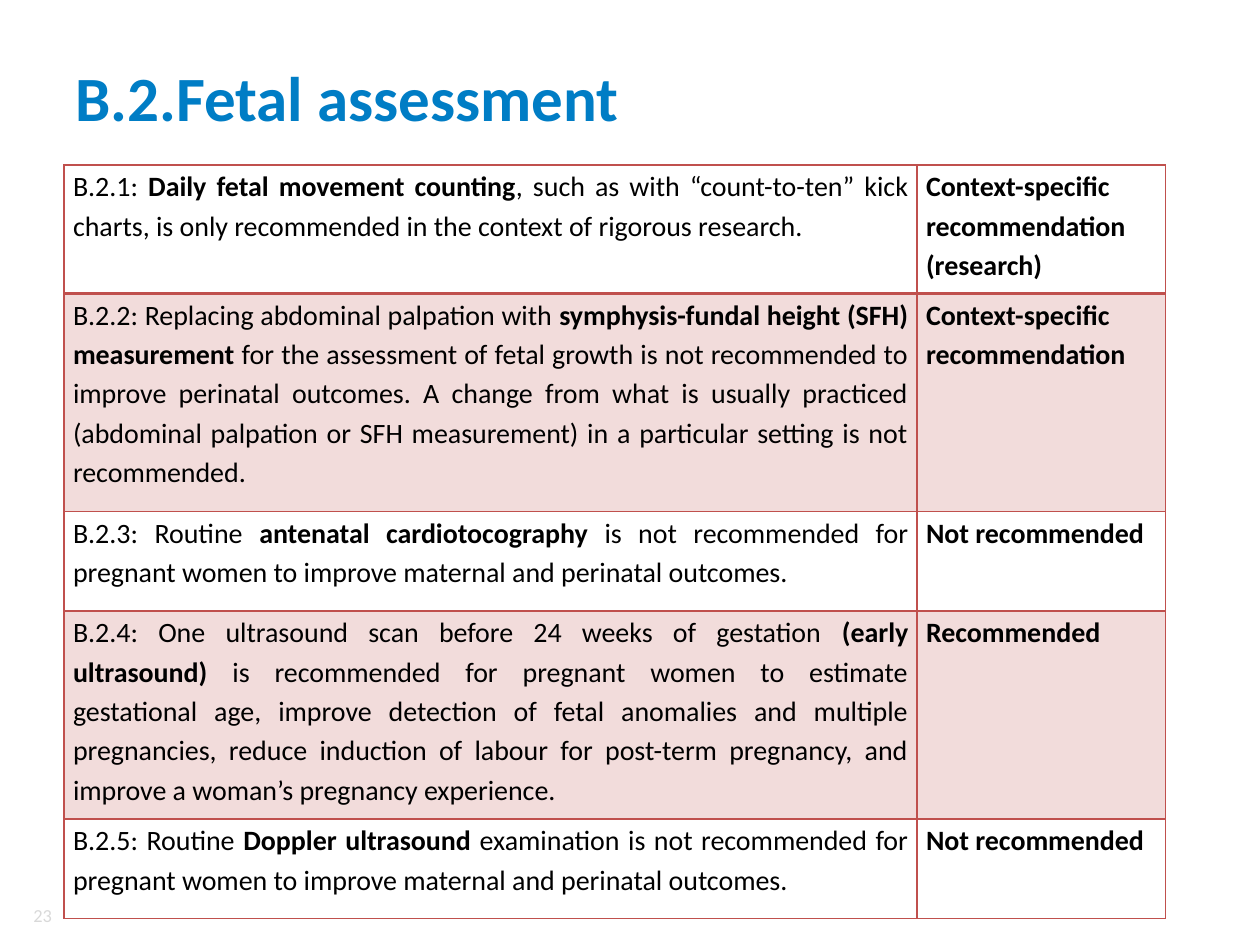
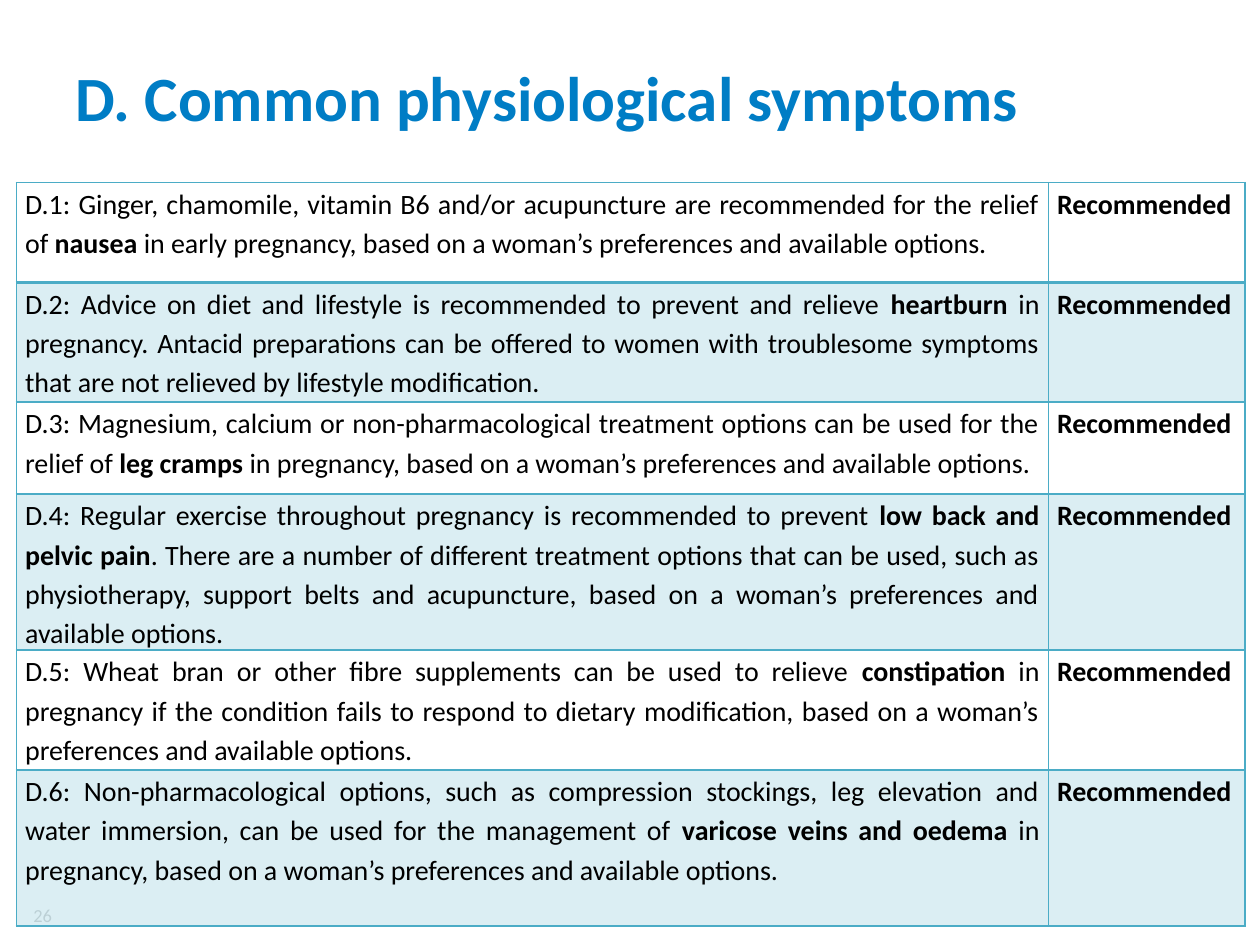
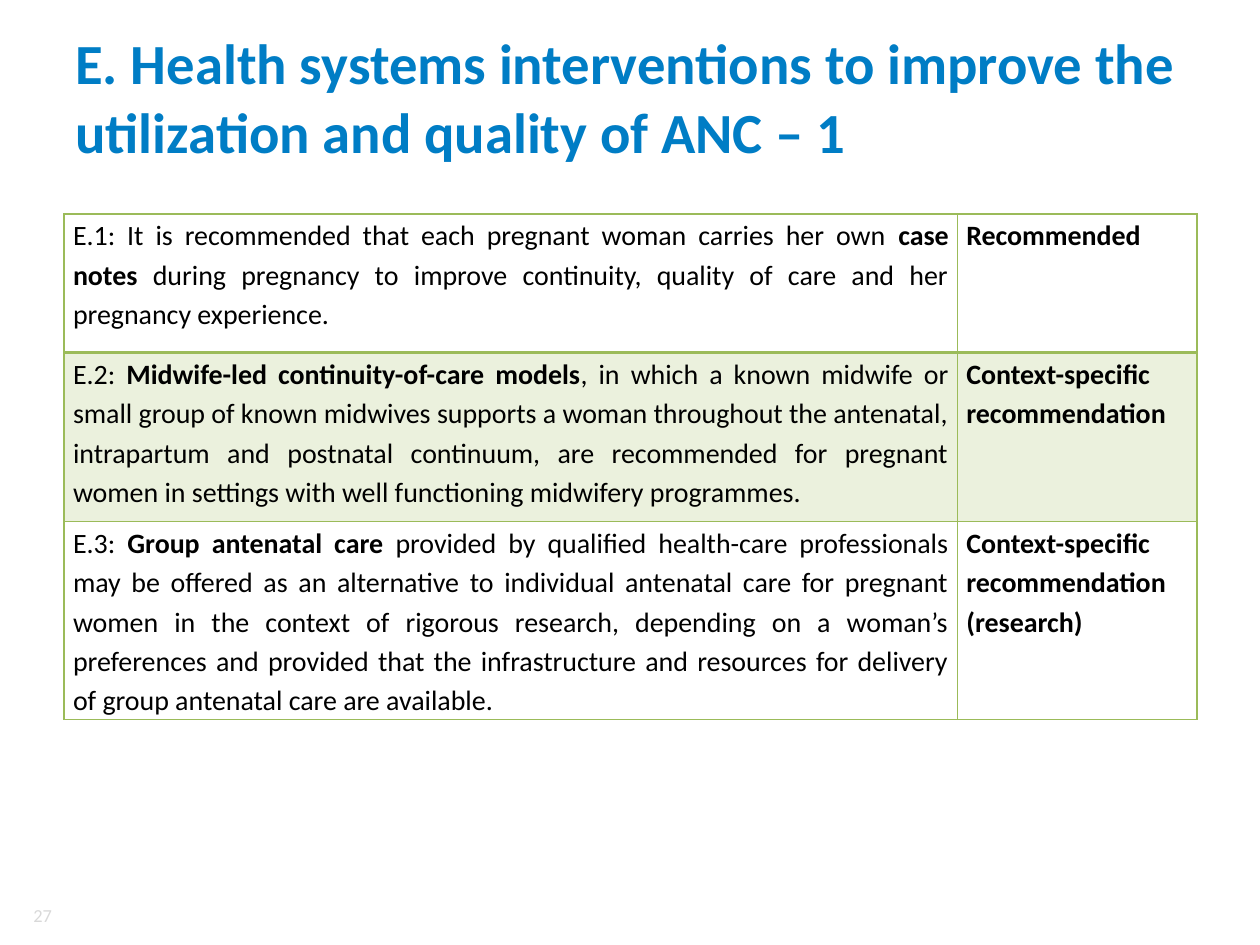
from lxml import etree
from pptx import Presentation
from pptx import util as u
from pptx.dml.color import RGBColor
from pptx.enum import text
from pptx.oxml.ns import qn

FONT = "Calibri"
TITLE_COLOR, BODY_COLOR, NUMBER_COLOR = "007DC5", "000000", "D9D9D9"
TINT = 20  # opacity of the shaded rows, in percent

YES, NO = "Recommended", "Not recommended"
CONTEXT = "Context-specific recommendation"
RESEARCH = "Context-specific recommendation (research)"

# Each row: height, (plain, bold, plain) wording, verdict
SLIDES = [
    dict(
        number=23, title="B.2.Fetal assessment", title_size=36,
        accent="C0504D", corner=(0.51, 1.31), columns=(6.77, 1.97),
        rows=[
            (1.02, ("B.2.1: ", "Daily fetal movement counting",
                    ", such as with “count-to-ten” kick charts, is only recommended in the "
                    "context of rigorous research."), RESEARCH),
            (1.73, ("B.2.2: Replacing abdominal palpation with ",
                    "symphysis-fundal height (SFH) measurement",
                    " for the assessment of fetal growth is not recommended to improve "
                    "perinatal outcomes. A change from what is usually practiced (abdominal "
                    "palpation or SFH measurement) in a particular setting is not "
                    "recommended."), CONTEXT),
            (0.79, ("B.2.3: Routine ", "antenatal cardiotocography",
                    " is not recommended for pregnant women to improve maternal and "
                    "perinatal outcomes."), NO),
            (1.65, ("B.2.4: One ultrasound scan before 24 weeks of gestation ",
                    "(early ultrasound)",
                    " is recommended for pregnant women to estimate gestational age, improve "
                    "detection of fetal anomalies and multiple pregnancies, reduce induction "
                    "of labour for post-term pregnancy, and improve a woman’s pregnancy "
                    "experience."), YES),
            (0.79, ("B.2.5: Routine ", "Doppler ultrasound",
                    " examination is not recommended for pregnant women to improve maternal "
                    "and perinatal outcomes."), NO),
        ],
    ),
    dict(
        number=26, title="D. Common physiological symptoms", title_size=36,
        accent="4BACC6", corner=(0.13, 1.45), columns=(8.19, 1.56),
        rows=[
            (0.79, ("D.1: Ginger, chamomile, vitamin B6 and/or acupuncture are recommended "
                    "for the relief of ", "nausea",
                    " in early pregnancy, based on a woman’s preferences and available "
                    "options."), YES),
            (0.95, ("D.2: Advice on diet and lifestyle is recommended to prevent and "
                    "relieve ", "heartburn ",
                    "in pregnancy. Antacid preparations can be offered to women with "
                    "troublesome symptoms that are not relieved by lifestyle "
                    "modification."), YES),
            (0.73, ("D.3: Magnesium, calcium or non-pharmacological treatment options can be "
                    "used for the relief of ", "leg cramps",
                    " in pregnancy, based on a woman’s preferences and available "
                    "options."), YES),
            (1.24, ("D.4: Regular exercise throughout pregnancy is recommended to prevent ",
                    "low back and pelvic pain",
                    ". There are a number of different treatment options that can be used, "
                    "such as physiotherapy, support belts and acupuncture, based on a "
                    "woman’s preferences and available options."), YES),
            (0.95, ("D.5: Wheat bran or other fibre supplements can be used to relieve ",
                    "constipation",
                    " in pregnancy if the condition fails to respond to dietary "
                    "modification, based on a woman’s preferences and available "
                    "options."), YES),
            (1.24, ("D.6: Non-pharmacological options, such as compression stockings, leg "
                    "elevation and water immersion, can be used for the management of ",
                    "varicose veins and oedema",
                    " in pregnancy, based on a woman’s preferences and available "
                    "options."), YES),
        ],
    ),
    dict(
        number=27, title_size=32.4,
        title="E. Health systems interventions to improve the utilization and quality of ANC – 1",
        accent="9BBB59", corner=(0.51, 1.7), columns=(7.09, 1.9),
        rows=[
            (1.1, ("E.1: It is recommended that each pregnant woman carries her own ",
                   "case notes",
                   " during pregnancy to improve continuity, quality of care and her "
                   "pregnancy experience."), YES),
            (1.34, ("E.2: ", "Midwife-led continuity-of-care models",
                    ", in which a known midwife or small group of known midwives supports a "
                    "woman throughout the antenatal, intrapartum and postnatal continuum, "
                    "are recommended for pregnant women in settings with well functioning "
                    "midwifery programmes."), CONTEXT),
            (1.57, ("E.3: ", "Group antenatal care",
                    " provided by qualified health-care professionals may be offered as an "
                    "alternative to individual antenatal care for pregnant women in the "
                    "context of rigorous research, depending on a woman’s preferences and "
                    "provided that the infrastructure and resources for delivery of group "
                    "antenatal care are available."), RESEARCH),
        ],
    ),
]


def style(paragraph, size, color, align, bold=None):
    font = paragraph.font
    font.name, font.size, font.bold = FONT, u.Pt(size), bold
    font.color.rgb = RGBColor.from_string(color)
    paragraph.alignment = align


def add_label(slide, box, wording, size, color, align, bold=False):
    frame = slide.shapes.add_textbox(*map(u.Inches, box)).text_frame
    frame.word_wrap = True
    frame.vertical_anchor = text.MSO_ANCHOR.MIDDLE
    paragraph = frame.paragraphs[0]
    paragraph.add_run().text = wording
    style(paragraph, size, color, align, bold)


def write_cell(cell, parts, align):
    """Write the parts in turn, with every second one bold."""
    cell.margin_left = cell.margin_right = u.Inches(0.07)
    cell.margin_top = cell.margin_bottom = 0
    paragraph = cell.text_frame.paragraphs[0]
    paragraph.line_spacing = 1.15
    style(paragraph, 16, BODY_COLOR, align)
    for index, part in enumerate(parts):
        if part:
            run = paragraph.add_run()
            run.text = part
            run.font.bold = index % 2 == 1


def paint_cell(cell, accent, shaded, top, bottom):
    """Fill the cell and draw its four borders; top and bottom are widths in points."""
    if shaded:
        cell.fill.solid()
        cell.fill.fore_color.rgb = RGBColor.from_string(accent)
    else:
        cell.fill.background()
    properties = cell._tc.get_or_add_tcPr()
    if shaded:
        color = properties.find(".//" + qn("a:srgbClr"))
        etree.SubElement(color, qn("a:alpha"), val=str(TINT * 1000))
    borders = (("L", 1), ("R", 1), ("T", top), ("B", bottom))
    for index, (side, width) in enumerate(borders):
        line = etree.Element(qn("a:ln" + side), w=str(u.Pt(width)))
        fill = etree.SubElement(line, qn("a:solidFill"))
        etree.SubElement(fill, qn("a:srgbClr"), val=accent)
        properties.insert(index, line)


def add_recommendations(slide, corner, columns, rows, accent):
    size = sum(columns), sum(height for height, _, _ in rows)
    table = slide.shapes.add_table(
        len(rows), len(columns), *map(u.Inches, corner + size)).table
    table.first_row = table.horz_banding = False
    for column, width in zip(table.columns, columns):
        column.width = u.Inches(width)
    for index, (height, wording, verdict) in enumerate(rows):
        table.rows[index].height = u.Inches(height)
        recommendation, status = table.rows[index].cells
        write_cell(recommendation, wording, text.PP_ALIGN.JUSTIFY)
        write_cell(status, ("", verdict), text.PP_ALIGN.LEFT)
        for cell in (recommendation, status):
            paint_cell(cell, accent, shaded=index % 2 == 1,
                       top=2 if index == 1 else 1, bottom=2 if index == 0 else 1)


def main():
    presentation = Presentation()
    presentation.slide_width, presentation.slide_height = u.Inches(10), u.Inches(7.5)
    for content in SLIDES:
        slide = presentation.slides.add_slide(presentation.slide_layouts[6])
        add_label(slide, (0.12, 7.14, 0.39, 0.24), str(content["number"]),
                  10.5, NUMBER_COLOR, text.PP_ALIGN.RIGHT)
        add_label(slide, (0.5, 0.3, 9, 0.93), content["title"],
                  content["title_size"], TITLE_COLOR, text.PP_ALIGN.LEFT, bold=True)
        add_recommendations(slide, content["corner"], content["columns"],
                            content["rows"], content["accent"])
    presentation.save("out.pptx")


if __name__ == "__main__":
    main()
